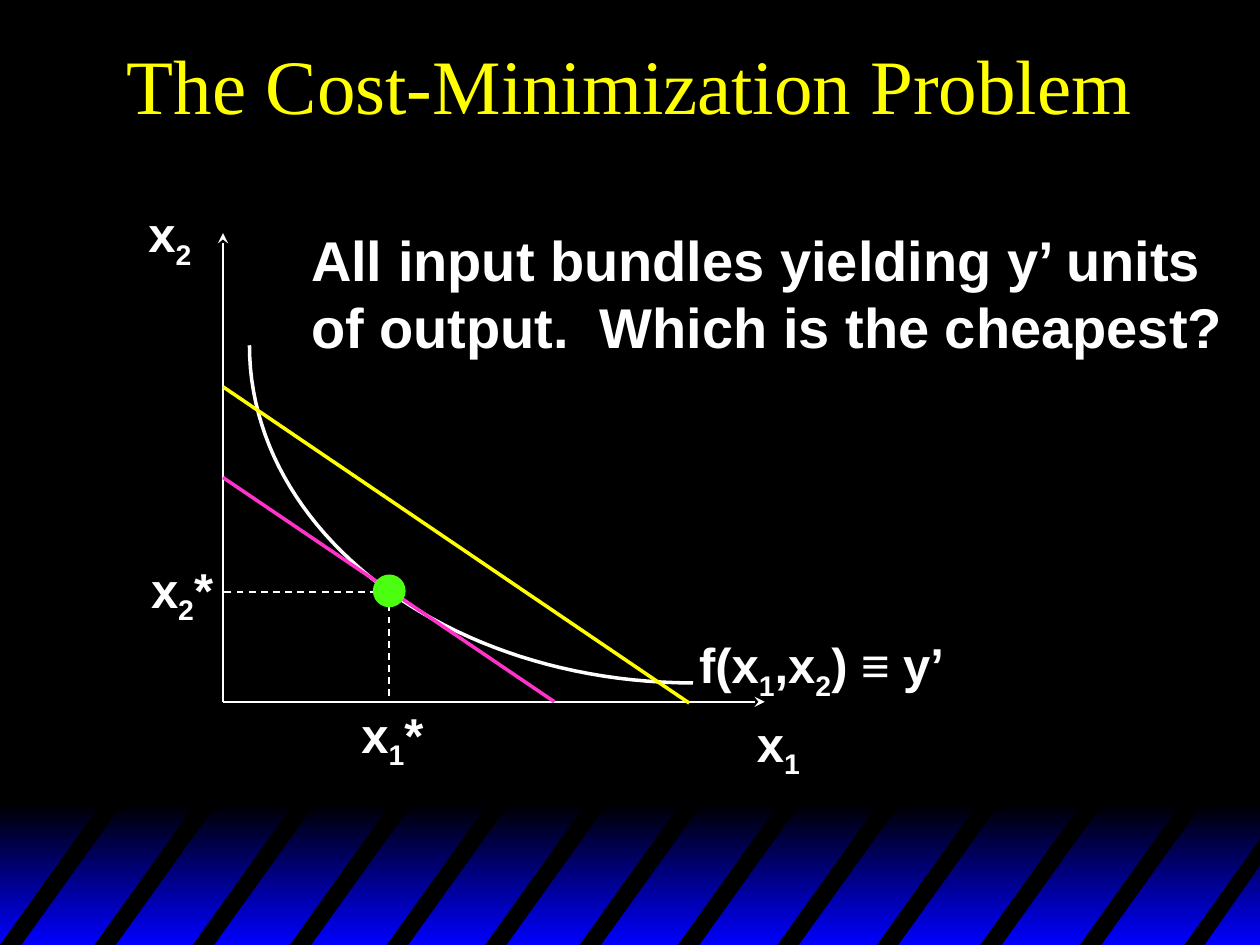
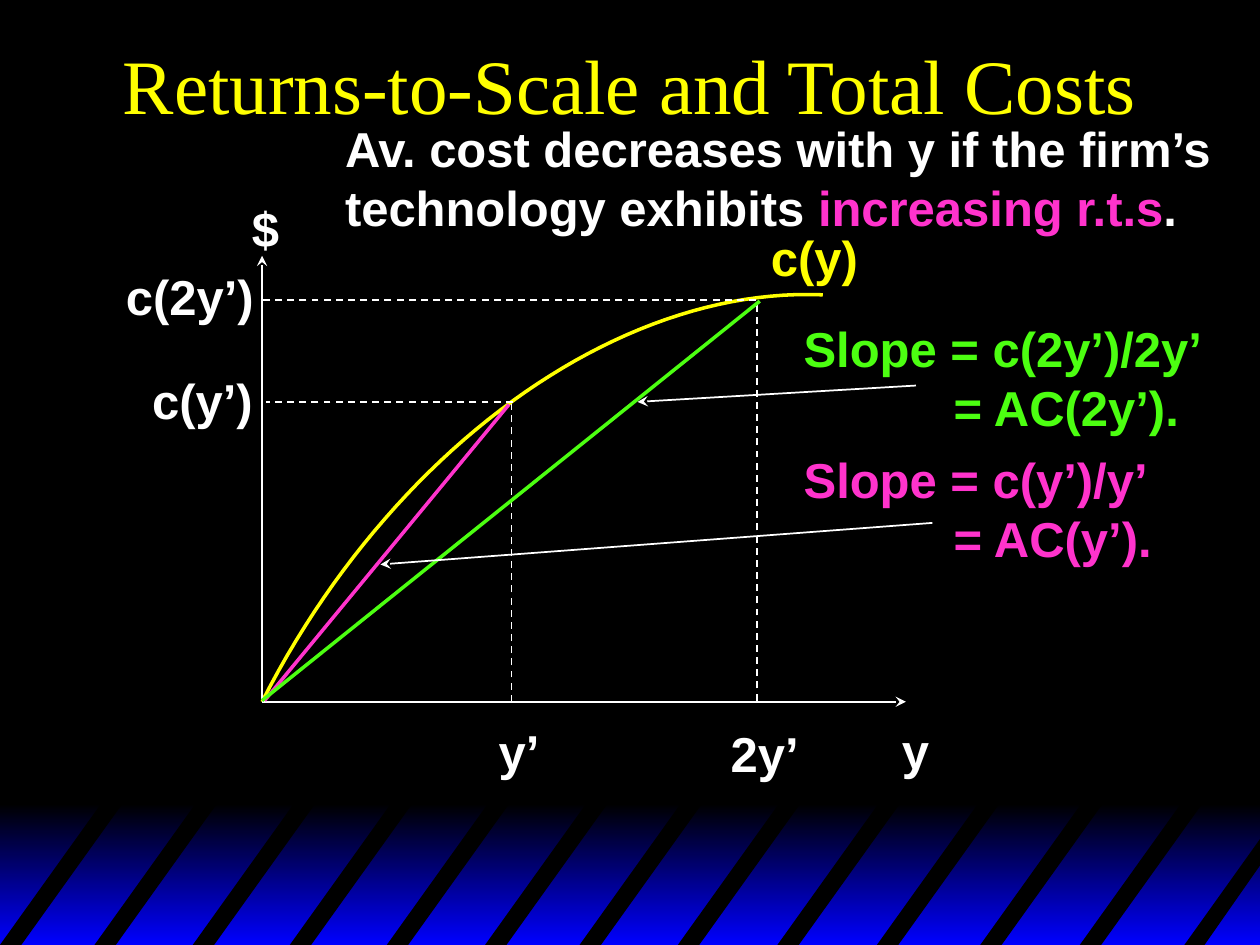
"""Build two economics slides: cost minimization and returns to scale."""
from lxml.etree import SubElement
from pptx import Presentation
from pptx.dml.color import RGBColor
from pptx.enum.dml import MSO_LINE
from pptx.enum.shapes import MSO_CONNECTOR, MSO_SHAPE
from pptx.enum.text import MSO_ANCHOR, MSO_AUTO_SIZE, PP_ALIGN
from pptx.oxml.ns import qn
from pptx.util import Inches, Pt

COLOURS = {"black": "000000", "blue": "0000FF", "white": "FFFFFF",
           "yellow": "FFFF00", "pink": "FF33CC", "green": "4CFF11"}
WIDTH, HEIGHT = 10, 7.5
BAND_TOP = 6.38
STRIPE_TOP, STRIPE_LEAN, STRIPE_WIDTH = 6.34, 0.83, 0.17
STRIPE_STARTS = [0, 0.75, 1.53, 2.3, 3.07, 3.85, 4.6, 5.38, 6.17, 6.96, 7.78, 8.57]
CORNER_STRIPE = [(9.4, HEIGHT), (WIDTH, 6.66), (WIDTH, 6.87), (9.56, HEIGHT)]

AXIS = {"arrow": True}
GUIDE = {"dash": True}

# Labels mark subscripts with "_" and an accented phrase with "|".
SLIDES = [
    {
        "title": "The Cost-Minimization Problem",
        "curve": ([(5.5, 5.42), (3.55, 5.42), (1.98, 4.22), (1.98, 2.74)], "white"),
        "lines": [
            ((1.77, 5.57), (1.77, 1.85), AXIS),
            ((1.77, 5.57), (6.07, 5.57), AXIS),
            ((5.47, 5.58), (1.77, 3.07), {"colour": "yellow", "weight": 2}),
            ((4.4, 5.57), (1.77, 3.79), {"colour": "pink", "weight": 2}),
            ((3.09, 4.7), (3.09, 5.56), GUIDE),
            ((3.09, 4.7), (1.77, 4.7), GUIDE),
        ],
        "optimum": (3.09, 4.69, 0.26),
        "labels": [
            ("x_1", (5.91, 5.61, 0.54, 0.63), {}),
            ("x_2", (1.08, 1.57, 0.54, 0.63), {}),
            ("All input bundles yielding y’ units\nof output.  Which is the cheapest?",
             (2.37, 1.74, 7.45, 1.17), {"size": 32}),
            ("f(x_1,x_2) ≡ y’", (5.45, 4.99, 2.23, 0.63), {}),
            ("x_1*", (2.77, 5.54, 0.69, 0.63), {}),
            ("x_2*", (1.1, 4.39, 0.69, 0.63), {}),
        ],
    },
    {
        "title": "Returns-to-Scale and Total Costs",
        "curve": ([(2.08, 5.57), (3.09, 3.58), (4.89, 2.27), (6.53, 2.34)], "yellow"),
        "lines": [
            ((2.08, 5.55), (2.08, 2.03), AXIS),
            ((2.08, 5.57), (7.19, 5.57), AXIS),
            ((6.01, 5.56), (6.01, 2.38), GUIDE),
            ((4.06, 5.57), (4.06, 3.21), GUIDE),
            ((6, 2.38), (2.09, 2.38), GUIDE),
            ((4.07, 3.19), (2.11, 3.19), GUIDE),
            ((2.1, 5.56), (4.04, 3.21), {"colour": "pink", "weight": 2}),
            ((2.08, 5.56), (6.03, 2.39), {"colour": "green", "weight": 2}),
            ((7.27, 3.06), (5.06, 3.19), AXIS),
            ((7.4, 4.15), (3.02, 4.48), AXIS),
        ],
        "labels": [
            ("y", (7.06, 5.67, 0.42, 0.57), {}),
            ("$", (1.9, 1.53, 0.42, 0.57), {}),
            ("c(y)", (6.02, 1.76, 0.89, 0.57), {"colour": "yellow"}),
            ("y’", (3.86, 5.68, 0.53, 0.57), {}),
            ("2y’", (5.7, 5.69, 0.74, 0.57), {}),
            ("c(y’)", (1.11, 2.89, 1, 0.57), {}),
            ("c(2y’)", (0.9, 2.07, 1.22, 0.57), {}),
            ("Slope = c(2y’)/2y’\n= AC(2y’).", (6.28, 2.48, 3.36, 1.04),
             {"colour": "green", "indent": 1.19}),
            ("Slope = c(y’)/y’\n= AC(y’).", (6.28, 3.52, 2.98, 1.04),
             {"colour": "pink", "indent": 1.19}),
            ("Av. cost decreases with y if the firm’s\n"
             "technology exhibits |increasing r.t.s|.", (2.64, 0.89, 7.13, 1.04), {}),
        ],
    },
]


def rgb(name):
    return RGBColor.from_string(COLOURS[name])


def inches(values):
    return [Inches(value) for value in values]


def write(frame, text, size=28, colour="white", accent="pink", font="Arial",
          bold=True, align=PP_ALIGN.LEFT, indent=0):
    for row, line in enumerate(text.split("\n")):
        paragraph = frame.add_paragraph() if row else frame.paragraphs[0]
        paragraph.alignment = align
        if row and indent:
            properties = paragraph._p.get_or_add_pPr()
            properties.set("marL", str(Inches(indent)))
            properties.set("indent", "0")
        for part, phrase in enumerate(line.split("|")):
            plain, *marked = phrase.split("_")
            pieces = [(plain, False)]
            for piece in marked:
                pieces += [(piece[0], True), (piece[1:], False)]
            for words, subscript in pieces:
                if not words:
                    continue
                run = paragraph.add_run()
                run.text = words
                run.font.size, run.font.name, run.font.bold = Pt(size), font, bold
                run.font.color.rgb = rgb(accent if part % 2 else colour)
                if subscript:
                    run._r.get_or_add_rPr().set("baseline", "-25000")


def add_outline(slide, points, closed):
    start, *rest = [inches(point) for point in points]
    builder = slide.shapes.build_freeform(*start)
    builder.add_line_segments(rest, close=closed)
    outline = builder.convert_to_shape()
    outline.shadow.inherit = False
    return outline


def add_stripe(slide, corners):
    stripe = add_outline(slide, corners, True)
    stripe.fill.solid()
    stripe.fill.fore_color.rgb = rgb("black")
    stripe.line.fill.background()
    return stripe


def add_curve(slide, controls, colour, steps=48):
    points = []
    for step in range(steps + 1):
        t = step / steps
        weights = (1 - t) ** 3, 3 * t * (1 - t) ** 2, 3 * t * t * (1 - t), t ** 3
        points.append([sum(w * c for w, c in zip(weights, axis)) for axis in zip(*controls)])
    curve = add_outline(slide, points, False)
    curve.fill.background()
    curve.line.color.rgb = rgb(colour)
    curve.line.width = Pt(2)


def add_line(slide, start, end, colour="white", weight=1, dash=False, arrow=False):
    line = slide.shapes.add_connector(MSO_CONNECTOR.STRAIGHT, *inches(start + end))
    line.line.color.rgb = rgb(colour)
    line.line.width = Pt(weight)
    if dash:
        line.line.dash_style = MSO_LINE.DASH
    if arrow:
        SubElement(line.line._get_or_add_ln(), qn("a:tailEnd"), type="stealth")
    SubElement(line._element.spPr, qn("a:effectLst"))


def add_optimum(slide, x, y, size):
    optimum = slide.shapes.add_shape(
        MSO_SHAPE.OVAL, *inches((x - size / 2, y - size / 2, size, size)))
    optimum.shadow.inherit = False
    optimum.fill.solid()
    optimum.fill.fore_color.rgb = rgb("green")
    optimum.line.fill.background()


def add_label(slide, text, place, style):
    frame = slide.shapes.add_textbox(*inches(place)).text_frame
    frame.word_wrap = False
    frame.auto_size = MSO_AUTO_SIZE.SHAPE_TO_FIT_TEXT
    write(frame, text, **style)


def decorate(layout, slide):
    """Draw the striped band once and move it to the shared layout."""
    layout.background.fill.solid()
    layout.background.fill.fore_color.rgb = rgb("black")
    for placeholder in list(layout.placeholders)[1:]:
        layout.shapes.element.remove(placeholder.element)
    band = slide.shapes.add_shape(
        MSO_SHAPE.RECTANGLE, *inches((0, BAND_TOP, WIDTH, HEIGHT - BAND_TOP)))
    band.shadow.inherit = False
    band.fill.gradient()
    band.fill.gradient_angle = 270
    for stop, colour in zip(band.fill.gradient_stops, ("black", "blue")):
        stop.color.rgb = rgb(colour)
    band.line.fill.background()
    stripes = [[(x, HEIGHT), (x + STRIPE_LEAN, STRIPE_TOP),
                (x + STRIPE_LEAN + STRIPE_WIDTH, STRIPE_TOP), (x + STRIPE_WIDTH, HEIGHT)]
               for x in STRIPE_STARTS] + [CORNER_STRIPE]
    for part in [band] + [add_stripe(slide, corners) for corners in stripes]:
        layout.shapes.element.append(part.element)


def add_title(slide, text):
    title = slide.shapes.title
    title.left, title.top, title.width, title.height = inches((0, 0, WIDTH, 1.33))
    title.text_frame.vertical_anchor = MSO_ANCHOR.MIDDLE
    write(title.text_frame, text, size=44, colour="yellow", font="Times New Roman",
          bold=False, align=PP_ALIGN.CENTER)


def main():
    deck = Presentation()
    deck.slide_width, deck.slide_height = inches((WIDTH, HEIGHT))
    layout = deck.slide_layouts[5]
    for number, content in enumerate(SLIDES):
        slide = deck.slides.add_slide(layout)
        if number == 0:
            decorate(layout, slide)
        add_title(slide, content["title"])
        add_curve(slide, *content["curve"])
        for start, end, style in content["lines"]:
            add_line(slide, start, end, **style)
        if "optimum" in content:
            add_optimum(slide, *content["optimum"])
        for label in content["labels"]:
            add_label(slide, *label)
    deck.save("out.pptx")


if __name__ == "__main__":
    main()
